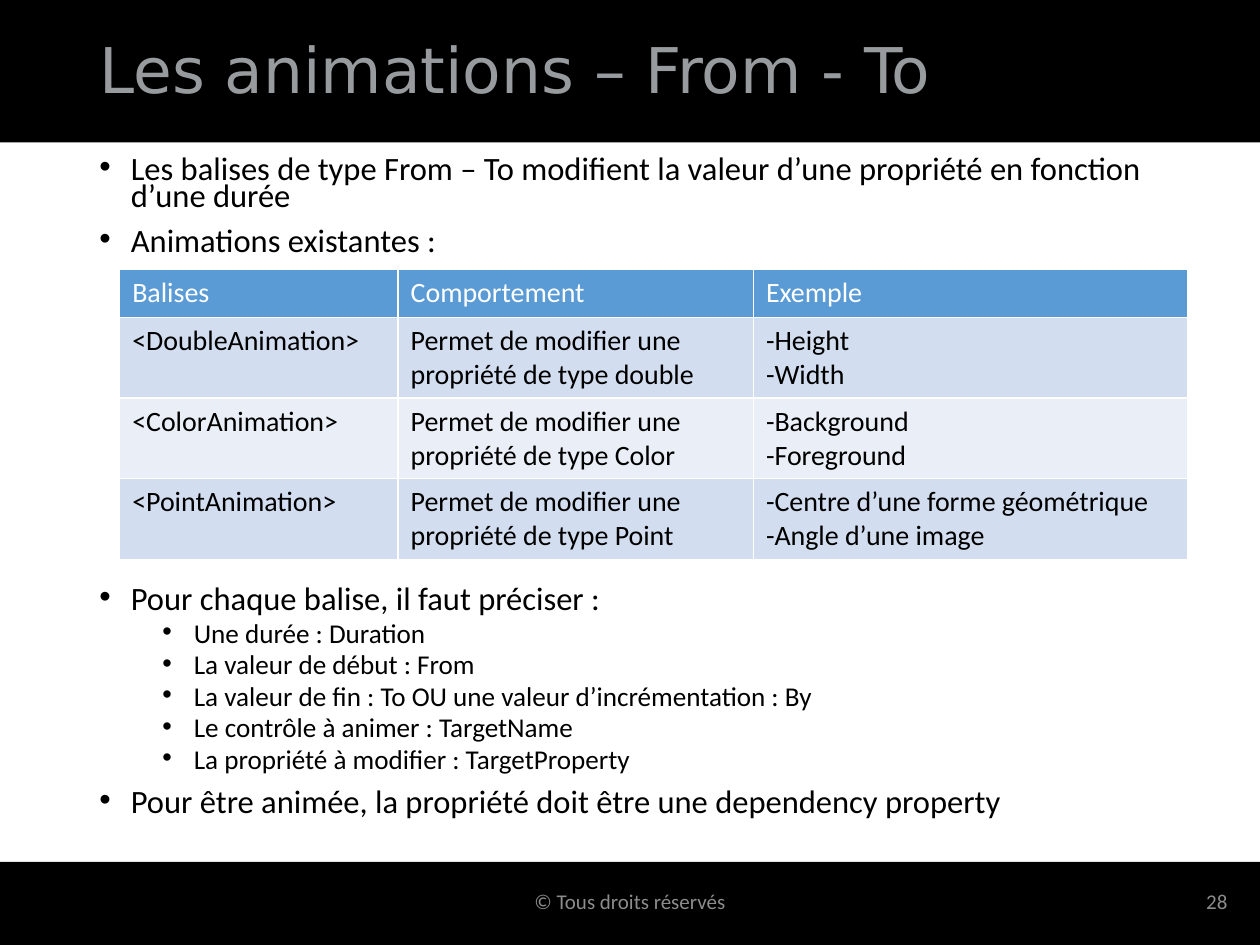
from pptx import Presentation
from pptx.dml.color import RGBColor
from pptx.enum.shapes import MSO_SHAPE as SHAPE
from pptx.enum.text import MSO_ANCHOR as ANCHOR, MSO_AUTO_SIZE as AUTOSIZE, PP_ALIGN as ALIGN
from pptx.oxml.ns import qn
from pptx.util import Emu, Inches, Pt
from lxml.etree import SubElement

BLACK = RGBColor(0x00, 0x00, 0x00)
WHITE = RGBColor(0xFF, 0xFF, 0xFF)
TITLE_GREY = RGBColor(0x98, 0x9B, 0x9D)
FOOTER_GREY = RGBColor(0x8C, 0x8C, 0x8C)
HEADER_BLUE = RGBColor(0x5B, 0x9B, 0xD5)
BAND_DARK = RGBColor(0xD2, 0xDE, 0xEF)
BAND_LIGHT = RGBColor(0xEA, 0xEF, 0xF7)

TABLE_GAP = 189
BULLETS = [
    (0, 10, "Les balises de type From – To modifient la valeur d’une propriété en fonction d’une durée"),
    (0, 10, "Animations existantes :"),
    (0, TABLE_GAP, "Pour chaque balise, il faut préciser :"),
    (1, 5, "Une durée : Duration"),
    (1, 5, "La valeur de début : From"),
    (1, 5, "La valeur de fin : To OU une valeur d’incrémentation : By"),
    (1, 5, "Le contrôle à animer : TargetName"),
    (1, 5, "La propriété à modifier : TargetProperty"),
    (0, 10, "Pour être animée, la propriété doit être une dependency property"),
]
BEHAVIOUR = "Permet de modifier une propriété de type "
ROWS = [
    ("Balises", "Comportement", "Exemple"),
    ("<DoubleAnimation>", BEHAVIOUR + "double", "-Height\n-Width"),
    ("<ColorAnimation>", BEHAVIOUR + "Color", "-Background\n-Foreground"),
    ("<PointAnimation>", BEHAVIOUR + "Point", "-Centre d’une forme géométrique\n-Angle d’une image"),
]


class Deck:
    """Holds the text style and the current slide."""

    def __init__(self, prs, font="Calibri"):
        self.font = font
        self.s = prs.slides.add_slide(prs.slide_layouts[5])

    def run(self, p, text, size, color, font=None):
        r = p.add_run()
        r.text = text
        r.font.name = font or self.font
        r.font.size = Pt(size)
        r.font.color.rgb = color

    def band(self, y, h):
        sp = self.s.shapes.add_shape(SHAPE.RECTANGLE, 0, Inches(y), Inches(10), Inches(h))
        sp.shadow.inherit = False
        sp.fill.solid()
        sp.fill.fore_color.rgb = BLACK
        sp.line.fill.background()

    def title(self, text, x, y, w, h):
        sp = self.s.shapes.title
        sp.left, sp.top, sp.width, sp.height = map(Inches, (x, y, w, h))
        tree = self.s.shapes._spTree
        tree.remove(sp._element)
        tree.append(sp._element)
        tf = sp.text_frame
        tf.auto_size = AUTOSIZE.NONE
        tf.vertical_anchor = ANCHOR.MIDDLE
        p = tf.paragraphs[0]
        p.alignment = ALIGN.LEFT
        p.line_spacing = 0.9
        self.run(p, text, 36, TITLE_GREY, "DejaVu Sans")

    def box(self, x, y, w, h, anchor=ANCHOR.TOP):
        tf = self.s.shapes.add_textbox(*map(Inches, (x, y, w, h))).text_frame
        tf.word_wrap = True
        tf.vertical_anchor = anchor
        return tf

    def footer(self, text, x, w, align):
        p = self.box(x, 6.95, w, 0.4, ANCHOR.MIDDLE).paragraphs[0]
        p.alignment = align
        self.run(p, text, 12, FOOTER_GREY)

    def bullets(self, items, x, y, w, h):
        tf = self.box(x, y, w, h)
        for i, (level, before, text) in enumerate(items):
            p = tf.add_paragraph() if i else tf.paragraphs[0]
            p.level = level
            p.line_spacing = 0.7
            p.space_before = Pt(before)
            pPr = p._p.get_or_add_pPr()
            pPr.set("marL", str(Inches(0.25 + 0.5 * level)))
            pPr.set("indent", str(Inches(-0.25)))
            SubElement(pPr, qn("a:buFont"), typeface="Arial")
            SubElement(pPr, qn("a:buChar"), char="•")
            self.run(p, text, 15.5 if level else 18.6, BLACK)

    def cell(self, cell, text, fill, color):
        tcPr = cell._tc.get_or_add_tcPr()
        for side in ("lnL", "lnR", "lnT", "lnB"):
            ln = SubElement(tcPr, qn("a:" + side), w=str(Pt(1)))
            SubElement(SubElement(ln, qn("a:solidFill")), qn("a:srgbClr"), val=str(WHITE))
        cell.fill.solid()
        cell.fill.fore_color.rgb = fill
        tf = cell.text_frame
        for i, line in enumerate(text.split("\n")):
            p = tf.add_paragraph() if i else tf.paragraphs[0]
            self.run(p, line, 16, color)
            p.runs[0].font.bold = False

    def table(self, rows, x, y, widths, heights):
        size = Inches(sum(widths)), Inches(sum(heights))
        t = self.s.shapes.add_table(len(rows), len(widths), Inches(x), Inches(y), *size).table
        for col, w in zip(t.columns, widths):
            col.width = Inches(w)
        for i, (row, h) in enumerate(zip(rows, heights)):
            t.rows[i].height = Inches(h)
            fill = (BAND_DARK if i % 2 else BAND_LIGHT) if i else HEADER_BLUE
            for j, text in enumerate(row):
                self.cell(t.cell(i, j), text, fill, BLACK if i else WHITE)


def main():
    prs = Presentation()
    prs.slide_width, prs.slide_height = Inches(10), Inches(7.5)
    deck = Deck(prs)
    deck.band(6.84, 0.66)
    deck.band(0, 1.13)
    deck.title("Les animations – From - To", 0.69, 0.23, 8.62, 0.7)
    deck.footer("© Tous droits réservés", 3.31, 3.38, ALIGN.CENTER)
    deck.footer("28", 7.59, 2.25, ALIGN.RIGHT)
    deck.bullets(BULLETS, 0.69, 1.21, 8.62, 5.55)
    deck.table(ROWS, 0.95, 2.14, [2.21, 2.82, 3.45], [0.38, 0.64, 0.64, 0.64])
    prs.save("out.pptx")


if __name__ == "__main__":
    main()
